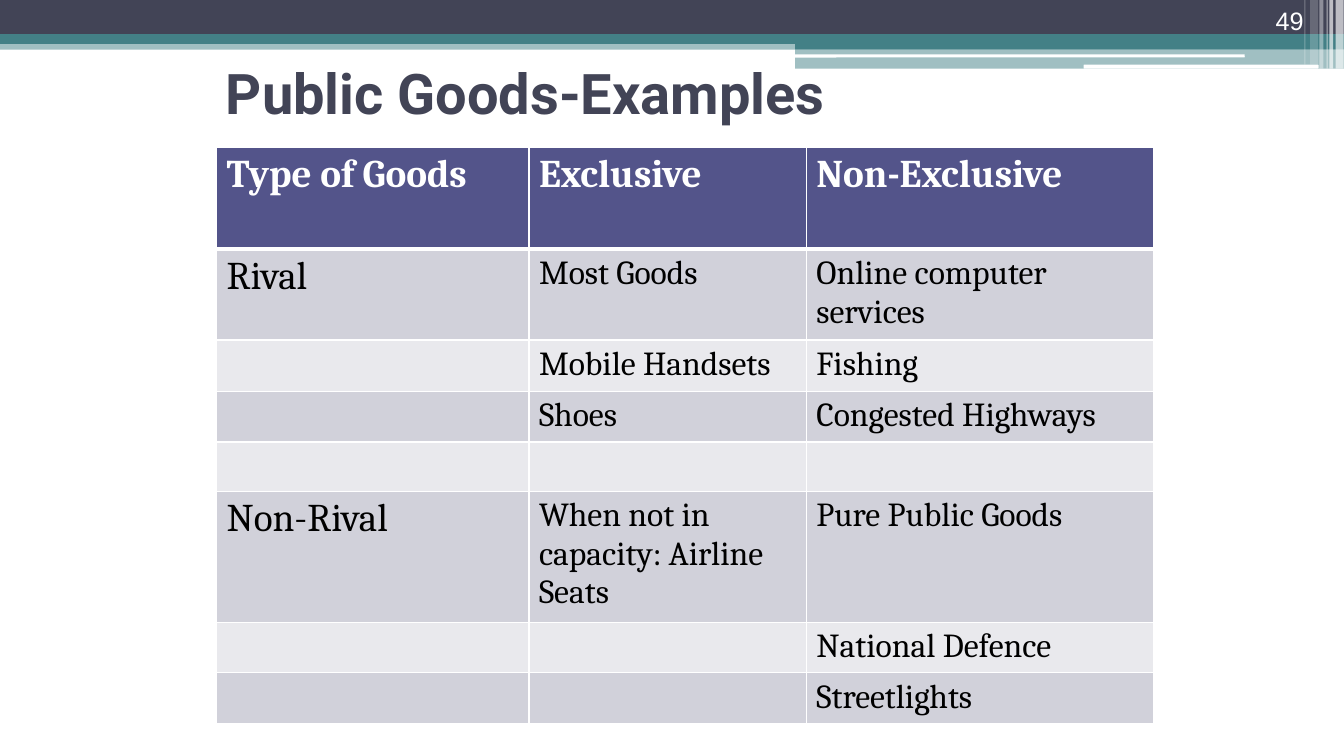
from lxml import etree
from pptx import Presentation
from pptx.dml.color import RGBColor
from pptx.enum import shapes, text
from pptx.oxml import ns
from pptx.util import Cm, Pt

NAVY = RGBColor(0x42, 0x44, 0x56)
TEAL = RGBColor(0x43, 0x80, 0x86)
WHITE = RGBColor(0xFF, 0xFF, 0xFF)
BLACK = RGBColor(0, 0, 0)
HEAD = RGBColor(0x53, 0x54, 0x8A)
BANDS = RGBColor(0xD1, 0xD1, 0xDA), RGBColor(0xE9, 0xE9, 0xED)

WIDE, HIGH = 33.87, 19.05
RECT = shapes.MSO_SHAPE.RECTANGLE
ROUND = shapes.MSO_SHAPE.ROUNDED_RECTANGLE

# left, top, width, height, colour, opacity in percent, outline
BARS = [
    (0, 1.02, WIDE, 0.23, TEAL, 50, RECT),
    (0, 0, WIDE, 0.86, NAVY, 100, RECT),
    (0, 0.86, WIDE, 0.25, TEAL, 100, RECT),
    (20.04, 0.99, 13.83, 0.25, TEAL, 100, RECT),
    (20.04, 1.22, 13.83, 0.51, TEAL, 50, RECT),
    (20.02, 1.37, 11.35, 0.08, WHITE, 100, ROUND),
    (27.31, 1.63, 5.92, 0.1, WHITE, 100, ROUND),
]
# left, width, height, opacity in percent
STRIPES = [
    (33.66, 0.2, 1.73, 65),
    (33.5, 0.1, 1.73, 65),
    (33.43, 0.03, 1.73, 60),
    (33.25, 0.1, 1.73, 40),
    (33.02, 0.2, 1.63, 20),
    (32.87, 0.03, 1.63, 30),
]
COLS = [7.87, 6.99, 8.74]
ROWS = [2.57, 2.24, 1.3, 1.24, 1.24, 3.23, 1.24, 1.24]
GOODS = [
    ("Type of Goods", "Exclusive", "Non-Exclusive"),
    ("Rival", "Most Goods", "Online computer services"),
    ("", "Mobile Handsets", "Fishing"),
    ("", "Shoes", "Congested Highways"),
    ("", "", ""),
    ("Non-Rival", "When not in capacity: Airline Seats", "Pure Public Goods"),
    ("", "", "National Defence"),
    ("", "", "Streetlights"),
]


class Deck:
    styles = {
        "title": dict(name="Roboto", size=Pt(40), bold=True),
        "page": dict(name="Arial", size=Pt(18), bold=False),
        "head": dict(name="Cambria", size=Pt(28), bold=True),
        "type": dict(name="Cambria", size=Pt(28), bold=False),
        "item": dict(name="Cambria", size=Pt(24), bold=False),
    }

    def __init__(self):
        self.prs = Presentation()
        self.prs.slide_width, self.prs.slide_height = Cm(WIDE), Cm(HIGH)
        self.slide = self.prs.slides.add_slide(self.prs.slide_layouts[5])
        self.shapes = self.slide.shapes

    def label(self, frame, words, style, color, align=text.PP_ALIGN.LEFT):
        para = frame.paragraphs[0]
        para.alignment = align
        run = para.add_run()
        run.text = words
        for key, value in self.styles[style].items():
            setattr(run.font, key, value)
        run.font.color.rgb = color

    def bar(self, left, top, width, height, color, alpha=100, kind=RECT):
        bar = self.shapes.add_shape(kind, Cm(left), Cm(top), Cm(width), Cm(height))
        bar.shadow.inherit = False
        bar.line.fill.background()
        bar.fill.solid()
        bar.fill.fore_color.rgb = color
        if alpha < 100:
            tint = bar._element.spPr.find(".//" + ns.qn("a:srgbClr"))
            etree.SubElement(tint, ns.qn("a:alpha"), val=str(alpha * 1000))

    def title(self, words, left, top, width, height):
        box = self.shapes.title
        box.left, box.top, box.width, box.height = map(Cm, (left, top, width, height))
        frame = box.text_frame
        frame.auto_size = text.MSO_AUTO_SIZE.NONE
        frame.vertical_anchor = text.MSO_ANCHOR.MIDDLE
        self.label(frame, words, "title", NAVY)

    def page(self, number, left, top, width, height):
        box = self.shapes.add_textbox(Cm(left), Cm(top), Cm(width), Cm(height))
        frame = box.text_frame
        frame.word_wrap = True
        frame.vertical_anchor = text.MSO_ANCHOR.BOTTOM
        self.label(frame, number, "page", WHITE, text.PP_ALIGN.RIGHT)

    def edge(self, cell, side, width):
        """Draw a white border on one side (L, R, T or B) of a cell."""
        props = cell._tc.get_or_add_tcPr()
        line = etree.SubElement(props, ns.qn("a:ln" + side), w=str(int(Pt(width))))
        fill = etree.SubElement(line, ns.qn("a:solidFill"))
        etree.SubElement(fill, ns.qn("a:srgbClr"), val=str(WHITE))

    def table(self, left, top, cols, rows, goods):
        grid = self.shapes.add_table(len(rows), len(cols), Cm(left), Cm(top),
                                     Cm(sum(cols)), Cm(sum(rows))).table
        grid.horz_banding = False
        for col, width in zip(grid.columns, cols):
            col.width = Cm(width)
        for r, (row, height) in enumerate(zip(grid.rows, rows)):
            row.height = Cm(height)
            for c, cell in enumerate(row.cells):
                thick = {0: "B", 1: "T"}.get(r)
                for side in "LRTB":
                    self.edge(cell, side, 3 if side == thick else 1)
                cell.fill.solid()
                cell.fill.fore_color.rgb = BANDS[(r - 1) % 2] if r else HEAD
                if goods[r][c]:
                    style = "head" if r == 0 else "item" if c else "type"
                    self.label(cell.text_frame, goods[r][c], style,
                               BLACK if r else WHITE)


def main():
    deck = Deck()
    for bar in BARS:
        deck.bar(*bar)
    for left, width, height, alpha in STRIPES:
        deck.bar(left, 0, width, height, WHITE, alpha)
    deck.title("Public Goods-Examples", 5.44, 1.47, 22.71, 1.7)
    deck.page("49", 30.28, 0, 2.82, 1.02)
    deck.table(5.46, 3.71, COLS, ROWS, GOODS)
    deck.prs.save("out.pptx")


if __name__ == "__main__":
    main()
